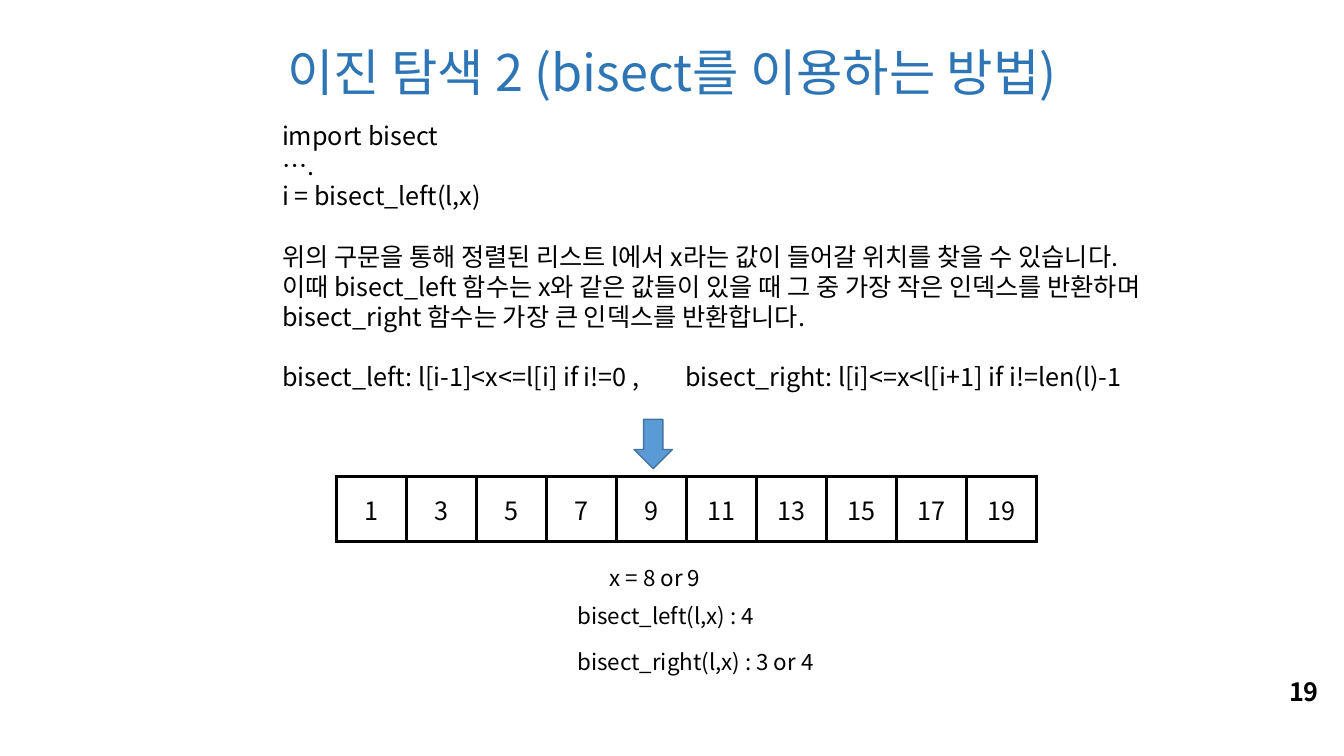
from lxml import etree
from pptx import Presentation
from pptx.dml.color import RGBColor
from pptx.enum import shapes, text
from pptx.oxml import ns
from pptx.util import Pt

FONT = "Noto Sans CJK KR"
BLACK = RGBColor(0x00, 0x00, 0x00)
WHITE = RGBColor(0xFF, 0xFF, 0xFF)
TITLE_BLUE = RGBColor(0x2E, 0x75, 0xB6)
ARROW_FILL = RGBColor(0x5B, 0x9B, 0xD5)
ARROW_LINE = RGBColor(0x43, 0x73, 0x9E)

SLIDE_WIDTH, SLIDE_HEIGHT = 960, 540
TITLE = "이진 탐색 2 (bisect를 이용하는 방법)"
PAGE_NUMBER = "19"
EXPLANATION = [
    ["import bisect", "….", "i = bisect_left(l,x)"],
    [
        "위의 구문을 통해 정렬된 리스트 l에서 x라는 값이 들어갈 위치를 찾을 수 있습니다.",
        "이때 bisect_left 함수는 x와 같은 값들이 있을 때 그 중 가장 작은 인덱스를 반환하며",
        "bisect_right 함수는 가장 큰 인덱스를 반환합니다.",
    ],
    ["bisect_left: l[i-1]<x<=l[i] if i!=0 ,\tbisect_right: l[i]<=x<l[i+1] if i!=len(l)-1"],
]
SORTED_VALUES = list(range(1, 20, 2))
RESULTS = [
    ("x = 8 or 9", 428.4, 398.9, 103.7),
    ("bisect_left(l,x) : 4", 405.4, 425.5, 169.9),
    ("bisect_right(l,x) : 3 or 4", 405.4, 458.6, 203),
]
TABLE_LEFT, TABLE_TOP, CELL_WIDTH, CELL_HEIGHT = 240.5, 340.6, 50, 46.1
BORDER_WIDTH = 2.25


def style_paragraph(paragraph, size, color=BLACK, bold=False):
    font = paragraph.font
    font.name, font.size, font.bold = FONT, Pt(size), bold
    font.color.rgb = color
    properties = paragraph._p.get_or_add_pPr().find(ns.qn("a:defRPr"))
    etree.SubElement(properties, ns.qn("a:ea"), typeface=FONT)


def add_text(slide, groups, box, size, line_height, color=BLACK, bold=False, align=None, wrap=True):
    frame = slide.shapes.add_textbox(*map(Pt, box)).text_frame
    frame.word_wrap = wrap
    paragraph = frame.paragraphs[0]
    for group_index, group in enumerate(groups):
        for line_index, line in enumerate(group):
            if group_index or line_index:
                paragraph = frame.add_paragraph()
            paragraph.text = line
            paragraph.alignment = align
            paragraph.line_spacing = Pt(line_height)
            if group_index and not line_index:
                paragraph.space_before = Pt(line_height)
            style_paragraph(paragraph, size, color, bold)


def add_borders(cell):
    properties = cell._tc.get_or_add_tcPr()
    for side in ("lnL", "lnR", "lnT", "lnB"):
        line = etree.SubElement(properties, ns.qn(f"a:{side}"), w=str(Pt(BORDER_WIDTH)))
        fill = etree.SubElement(line, ns.qn("a:solidFill"))
        etree.SubElement(fill, ns.qn("a:srgbClr"), val=str(BLACK))


def add_value_table(slide):
    count = len(SORTED_VALUES)
    table = slide.shapes.add_table(
        1, count, Pt(TABLE_LEFT), Pt(TABLE_TOP), Pt(CELL_WIDTH * count), Pt(CELL_HEIGHT)
    ).table
    table.first_row = table.horz_banding = False
    for column, value in enumerate(SORTED_VALUES):
        cell = table.cell(0, column)
        cell.text = str(value)
        cell.vertical_anchor = text.MSO_ANCHOR.MIDDLE
        paragraph = cell.text_frame.paragraphs[0]
        paragraph.alignment = text.PP_ALIGN.CENTER
        style_paragraph(paragraph, 18)
        add_borders(cell)
        cell.fill.solid()
        cell.fill.fore_color.rgb = WHITE


def add_position_arrow(slide):
    arrow = slide.shapes.add_shape(
        shapes.MSO_SHAPE.DOWN_ARROW, Pt(452.9), Pt(299.5), Pt(27.4), Pt(35.3)
    )
    arrow.shadow.inherit = False
    arrow.fill.solid()
    arrow.fill.fore_color.rgb = ARROW_FILL
    arrow.line.color.rgb = ARROW_LINE
    arrow.line.width = Pt(1)


def main():
    presentation = Presentation()
    presentation.slide_width, presentation.slide_height = Pt(SLIDE_WIDTH), Pt(SLIDE_HEIGHT)
    slide = presentation.slides.add_slide(presentation.slide_layouts[6])
    add_text(slide, [[PAGE_NUMBER]], (913.7, 478.8, 38.2, 28.8), 18, 22.5, bold=True, wrap=False)
    add_text(slide, [[TITLE]], (0, 23.8, SLIDE_WIDTH, 51.8), 36, 45, TITLE_BLUE,
             align=text.PP_ALIGN.CENTER)
    add_text(slide, EXPLANATION, (194.4, 82.1, 745.9, 247), 18, 21.6)
    add_value_table(slide)
    add_position_arrow(slide)
    for label, left, top, width in RESULTS:
        add_text(slide, [[label]], (left, top, width, 26.6), 16, 20)
    presentation.save("out.pptx")


if __name__ == "__main__":
    main()
